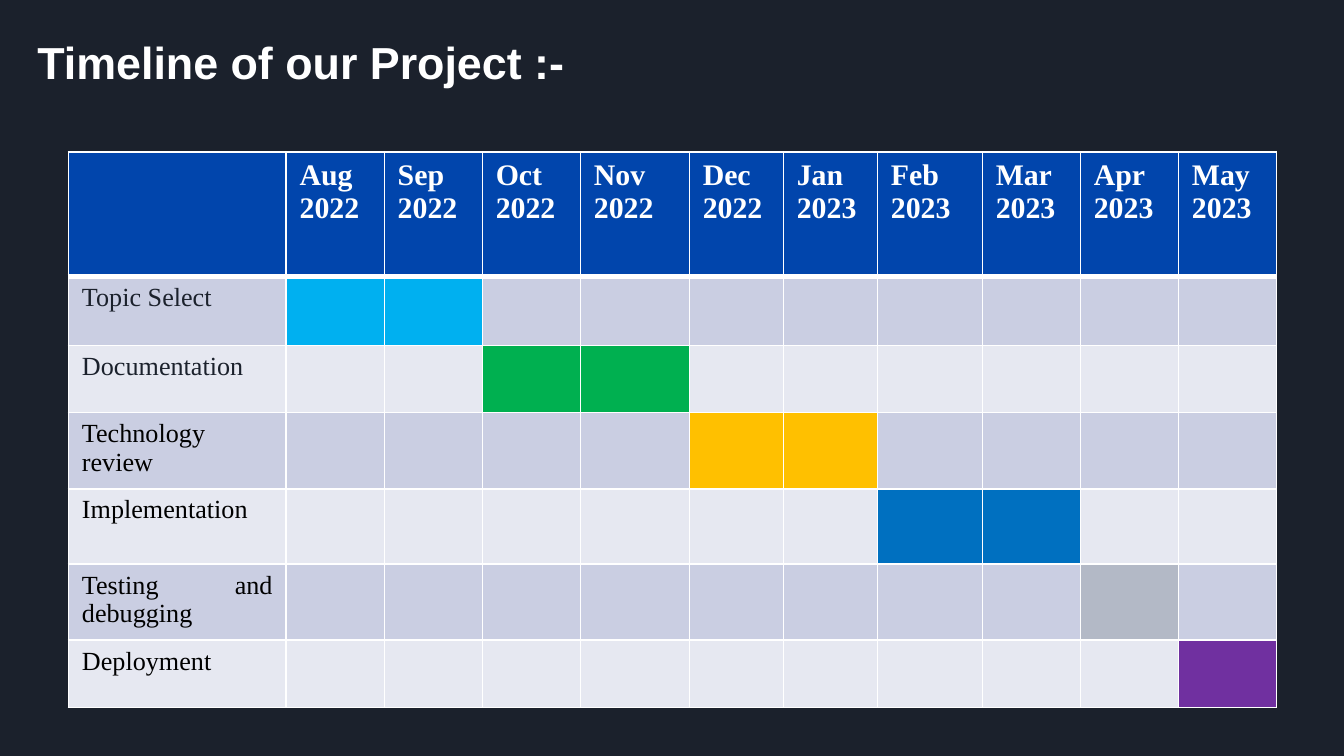
from pptx import Presentation
from pptx.dml.color import RGBColor
from pptx.enum.text import MSO_AUTO_SIZE, PP_ALIGN
from pptx.oxml.ns import qn
from pptx.util import Inches, Pt
from lxml.etree import SubElement

COLORS = {
    "back": "1B212C", "white": "FFFFFF", "black": "000000", "head": "0145AC",
    "odd": "CACEE2", "even": "E6E8F1", "sky": "00B0F0", "green": "00B050",
    "amber": "FFC000", "blue": "0070C0", "grey": "B3B9C6", "purple": "7030A0",
}
MONTHS = ["Aug 2022", "Sep 2022", "Oct 2022", "Nov 2022", "Dec\n2022",
          "Jan 2023", "Feb 2023", "Mar 2023", "Apr 2023", "May\v2023"]
# Task, text colour, bar colour, first and last month column
TASKS = [
    ("Topic Select", "back", "sky", 1, 2),
    ("Documentation", "back", "green", 3, 4),
    ("Technology review", "black", "amber", 5, 6),
    ("Implementation", "black", "blue", 7, 8),
    ("Testing and debugging", "black", "grey", 9, 9),
    ("Deployment", "black", "purple", 10, 10),
]
WIDTHS = [1.62, 0.73, 0.73, 0.73, 0.81, 0.7, 0.7, 0.78, 0.73, 0.73, 0.73]
HEIGHTS = [0.93, 0.51, 0.5, 0.56, 0.56, 0.56, 0.5]


def rgb(name):
    return RGBColor.from_string(COLORS[name])


def style(frame, face, size, color, bold, align=None):
    for para in frame.paragraphs:
        para.alignment = align
        for run in para.runs:
            font = run.font
            font.name, font.size, font.bold = face, Pt(size), bold
            font.color.rgb = rgb(color)


def border(cell, top, bottom):
    props = cell._tc.get_or_add_tcPr()
    for side, width in (("L", 1), ("R", 1), ("T", top), ("B", bottom)):
        line = SubElement(props, qn(f"a:ln{side}"), w=str(Pt(width)))
        fill = SubElement(line, qn("a:solidFill"))
        SubElement(fill, qn("a:srgbClr"), val=COLORS["white"])


def paint(cell, color, top=1, bottom=1):
    border(cell, top, bottom)
    cell.fill.solid()
    cell.fill.fore_color.rgb = rgb(color)


def add_title(slide, text):
    box = slide.shapes.add_textbox(Inches(0.18), Inches(0.21), Inches(4.65), Inches(0.5))
    frame = box.text_frame
    frame.word_wrap = True
    frame.auto_size = MSO_AUTO_SIZE.SHAPE_TO_FIT_TEXT
    frame.text = text
    style(frame, "Arial", 24, "white", True)


def add_grid(slide):
    shape = slide.shapes.add_table(
        len(HEIGHTS), len(WIDTHS), Inches(0.51), Inches(1.13),
        Inches(sum(WIDTHS)), Inches(sum(HEIGHTS)))
    table = shape.table
    for col, width in zip(table.columns, WIDTHS):
        col.width = Inches(width)
    for row, height in zip(table.rows, HEIGHTS):
        row.height = Inches(height)
    return table


def fill_head(table):
    for col, month in enumerate([""] + MONTHS):
        cell = table.cell(0, col)
        cell.text_frame.text = month
        style(cell.text_frame, "Times New Roman", 16, "white", True)
        paint(cell, "head", bottom=3)


def fill_task(table, row, task):
    name, ink, bar, first, last = task
    band = "odd" if row % 2 else "even"
    label = table.cell(row, 0).text_frame
    label.text = name
    style(label, "Times New Roman", 14, ink, False, PP_ALIGN.JUSTIFY)
    for col in range(len(WIDTHS)):
        color = bar if first <= col <= last else band
        paint(table.cell(row, col), color, top=3 if row == 1 else 1)


def main():
    deck = Presentation()
    # Widescreen, 16 to 9
    deck.slide_width, deck.slide_height = Inches(10), Inches(10 * 9 / 16)
    slide = deck.slides.add_slide(deck.slide_layouts[6])
    slide.background.fill.solid()
    slide.background.fill.fore_color.rgb = rgb("back")

    # Heading
    add_title(slide, "Timeline of our Project :-")

    # Schedule: months across, tasks down
    table = add_grid(slide)
    fill_head(table)
    for row, task in enumerate(TASKS, start=1):
        fill_task(table, row, task)

    deck.save("out.pptx")


if __name__ == "__main__":
    main()
